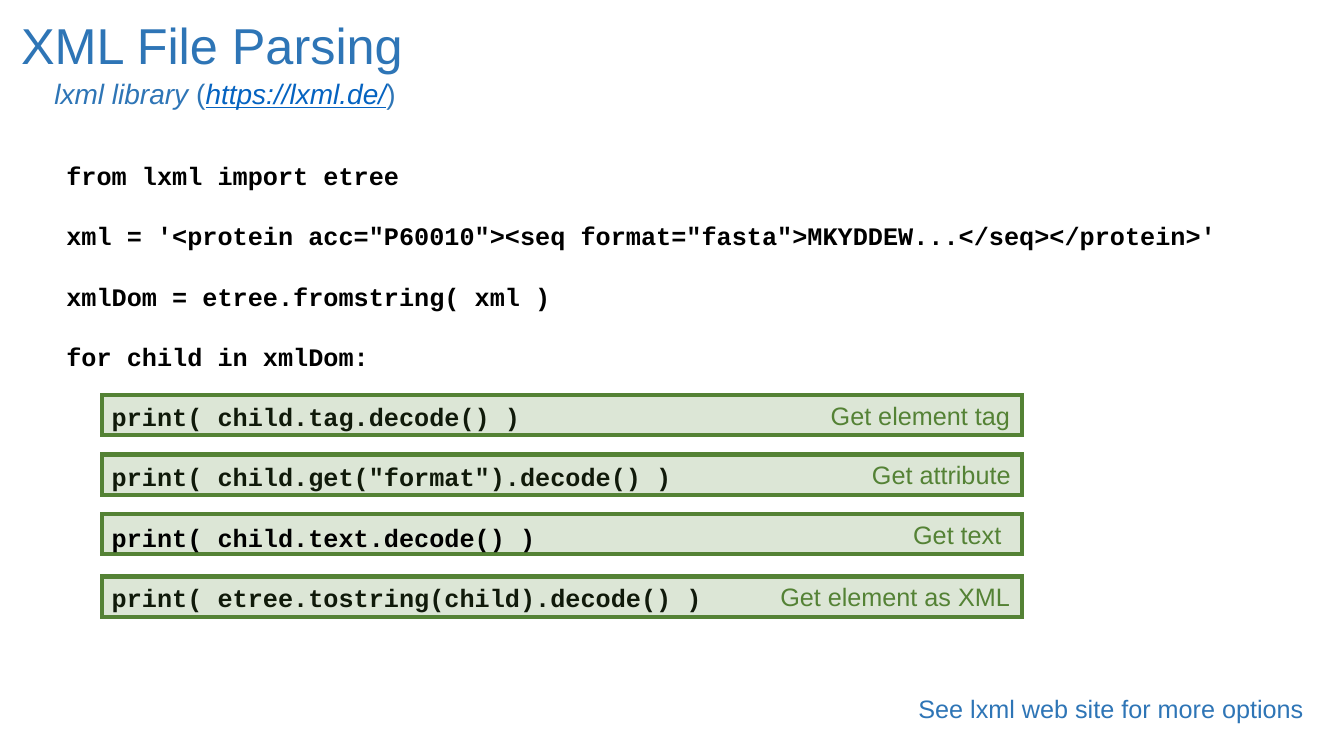
from collections import namedtuple

from lxml.etree import SubElement
from pptx import Presentation
from pptx.dml.color import RGBColor
from pptx.enum.shapes import MSO_SHAPE
from pptx.oxml.ns import qn
from pptx.util import Inches, Pt

BLUE = RGBColor(0x2E, 0x75, 0xB6)
LINK_BLUE = RGBColor(0x05, 0x63, 0xC1)
GREEN = RGBColor(0x54, 0x82, 0x35)
BLACK = RGBColor(0, 0, 0)

WIDTH, HEIGHT = Inches(13.33), Inches(7.5)
COLUMN, ROW = WIDTH / 100, HEIGHT / 100

Box = namedtuple("Box", "left top width height")
Step = namedtuple("Step", "top label label_width label_inset")

TITLE_BOX = Box(0.83, 1.2, 30.23, 9.47)
SUBTITLE_BOX = Box(2.33, 9.47, 69.62, 5.87)
CODE_BOX = Box(4.2, 20.53, 87.47, 66)
FOOTER_BOX = Box(67.59, 91.07, 30.46, 5.33)
BAR_LEFT, BAR_WIDTH, BAR_HEIGHT = 7.58, 68.49, 5.33
CODE_GAP = Pt(21.5)

TITLE_STYLE = {"name": "Arial", "size": Pt(36)}
SUBTITLE_STYLE = {"name": "Arial", "size": Pt(20)}
NOTE_STYLE = {"name": "Arial", "size": Pt(18)}
CODE_STYLE = {"name": "Courier New", "size": Pt(18), "bold": True}

CODE_LINES = [
    "from lxml import etree",
    "xml = '<protein acc=\"P60010\"><seq format=\"fasta\">MKYDDEW...</seq></protein>'",
    "xmlDom = etree.fromstring( xml )",
    "for child in xmlDom:",
    "   print( child.tag.decode() )",
    "   print( child.get(\"format\").decode() )",
    "   print( child.text.decode() )",
    "   print( etree.tostring(child).decode() )",
]
TAG_STEP = Step(52.27, "Get element tag", 15, 0)
ATTRIBUTE_STEP = Step(60.13, "Get attribute", 11.93, 0)
TEXT_STEP = Step(68, "Get text", 8.18, 0.68)
XML_STEP = Step(76.27, "Get element as XML", 18.75, 0)


def emu(box):
    """Turn a box in grid columns and rows into slide lengths."""
    return (round(box.left * COLUMN), round(box.top * ROW),
            round(box.width * COLUMN), round(box.height * ROW))


def add_span(para, text, style, color):
    """Append a formatted run to a paragraph."""
    span = para.add_run()
    span.text = text
    for name, value in style.items():
        setattr(span.font, name, value)
    span.font.color.rgb = color


def add_text(page, box, lines, style, color, gap=Pt(0)):
    """Place a text box with one paragraph per line."""
    frame = page.shapes.add_textbox(*emu(box)).text_frame
    frame.word_wrap = False
    for index, line in enumerate(lines):
        para = frame.add_paragraph() if index else frame.paragraphs[0]
        if index:
            para.space_before = gap
        add_span(para, line, style, color)


def add_subtitle(page, box):
    """Place the library name with its underlined address."""
    frame = page.shapes.add_textbox(*emu(box)).text_frame
    frame.word_wrap = True
    para = frame.paragraphs[0]
    para._p.get_or_add_pPr().set("marL", str(Inches(0.13)))
    spans = [
        ("lxml library ", {"italic": True}, BLUE),
        ("(", {}, BLUE),
        ("https://lxml.de/", {"italic": True, "underline": True}, LINK_BLUE),
        (")", {}, BLUE),
    ]
    for text, extra, color in spans:
        add_span(para, text, {**SUBTITLE_STYLE, **extra}, color)


def add_bar(page, step):
    """Draw the translucent, square-cornered frame around one print statement."""
    box = Box(BAR_LEFT, step.top, BAR_WIDTH, BAR_HEIGHT)
    bar = page.shapes.add_shape(MSO_SHAPE.RECTANGLE, *emu(box))
    bar.shadow.inherit = False
    bar.fill.solid()
    bar.fill.fore_color.rgb = GREEN
    color = bar._element.spPr.find(qn("a:solidFill"))[0]
    SubElement(color, qn("a:alpha")).set("val", "20000")
    bar.line.color.rgb = GREEN
    bar.line.width = Pt(3)
    outline = bar._element.spPr.find(qn("a:ln"))
    SubElement(outline, qn("a:miter")).set("lim", "800000")


def add_label(page, step):
    """Place the green label at the right end of a step's bar."""
    left = BAR_LEFT + BAR_WIDTH - step.label_inset - step.label_width
    box = Box(left, step.top, step.label_width, BAR_HEIGHT)
    add_text(page, box, [step.label], NOTE_STYLE, GREEN)


def add_code(page, box):
    """Place the code listing with its highlighted steps."""
    add_bar(page, TEXT_STEP)
    add_text(page, box, CODE_LINES, CODE_STYLE, BLACK, CODE_GAP)
    for step in (TAG_STEP, ATTRIBUTE_STEP, XML_STEP):
        add_bar(page, step)
        add_label(page, step)
    add_label(page, TEXT_STEP)


def main():
    """Build and save the slide."""
    deck = Presentation()
    deck.slide_width, deck.slide_height = WIDTH, HEIGHT
    page = deck.slides.add_slide(deck.slide_layouts[6])
    add_code(page, CODE_BOX)
    add_subtitle(page, SUBTITLE_BOX)
    add_text(page, FOOTER_BOX, ["See lxml web site for more options"], NOTE_STYLE, BLUE)
    add_text(page, TITLE_BOX, ["XML File Parsing"], TITLE_STYLE, BLUE)
    deck.save("out.pptx")


if __name__ == "__main__":
    main()
